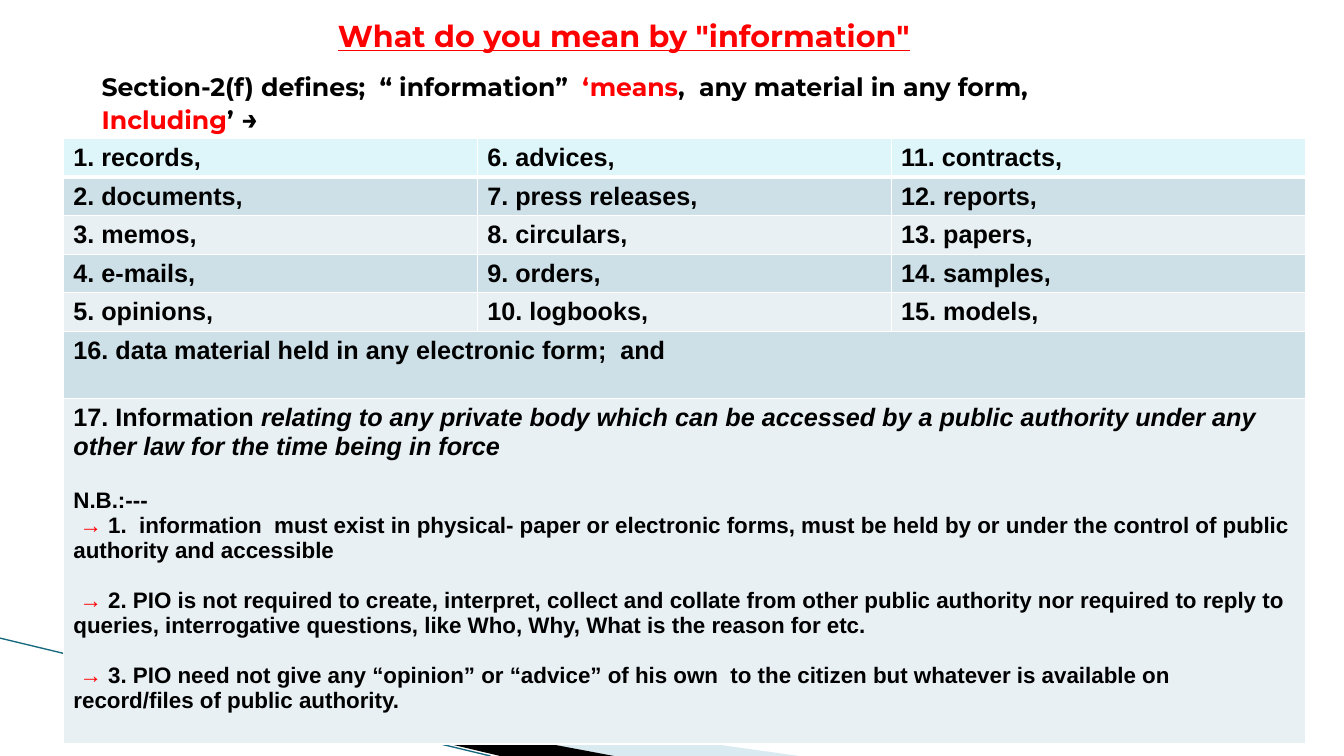
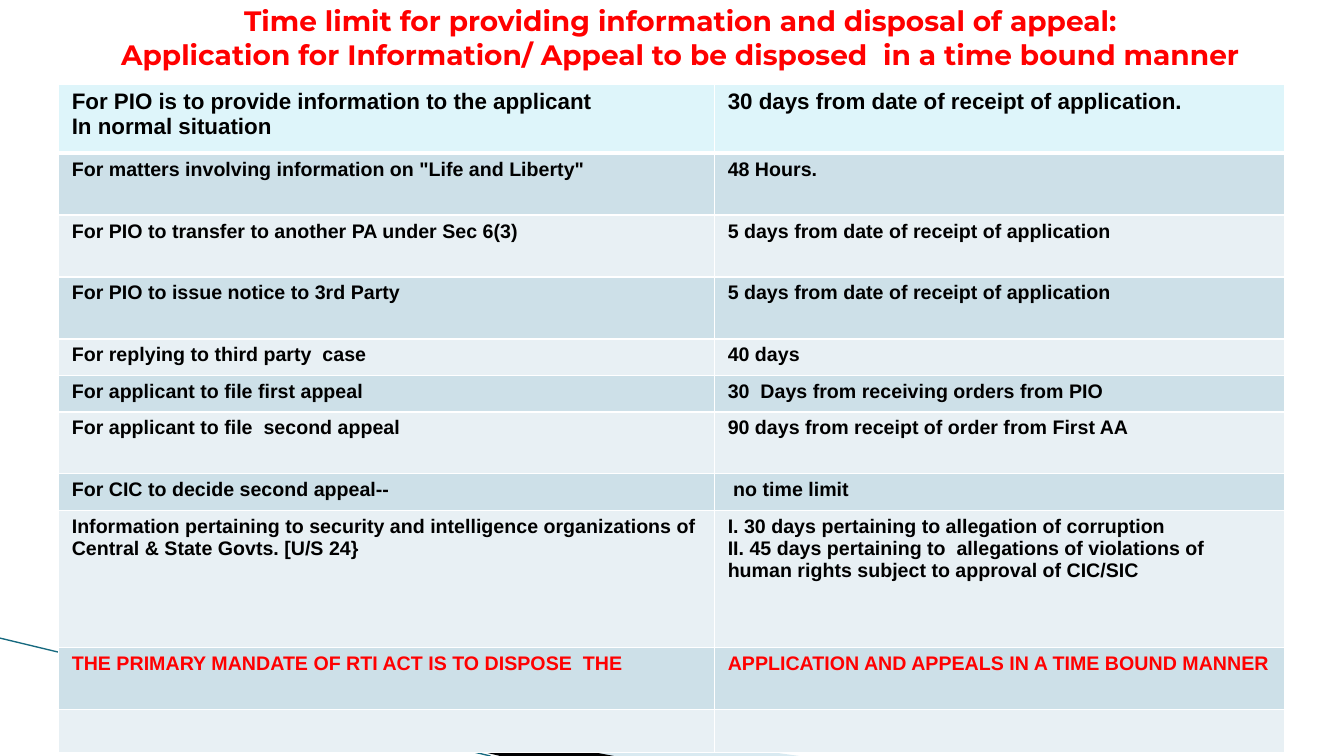
from dataclasses import dataclass, replace

from lxml.etree import SubElement
from pptx import Presentation
from pptx.dml.color import RGBColor as Rgb
from pptx.enum.shapes import MSO_CONNECTOR as Link
from pptx.enum.text import MSO_ANCHOR as Anchor, MSO_AUTO_SIZE as Auto, PP_ALIGN as Align
from pptx.oxml import parse_xml
from pptx.oxml.ns import nsdecls, qn
from pptx.util import Cm, Pt


# Theme: colours, fonts and type sizes
@dataclass(frozen=True)
class Theme:
    ink: str = "000000"
    red: str = "FF0000"
    white: str = "FFFFFF"
    head: str = "DEF5FA"
    dark: str = "CDE0E8"
    pale: str = "E8F0F4"
    wave: str = "A0CBDC"
    edge: str = "16697F"
    show: str = "Montserrat"
    body: str = "Arial"
    big: float = 21.6
    title: float = 20
    text: float = 18
    note: float = 16
    small: float = 14


T = Theme()


# Text pieces: a paragraph is a list of runs with a gap above it
@dataclass(frozen=True)
class Run:
    text: str
    tint: str = T.ink
    size: float = T.text
    font: str = T.body
    slant: bool = False
    line: bool = False


@dataclass(frozen=True)
class Para:
    runs: list
    gap: float = 0


def color(code):
    return Rgb.from_string(code)


class Deck:
    def __init__(self, theme):
        self.theme = theme
        self.prs = Presentation()
        self.prs.slide_width, self.prs.slide_height = Cm(33.87), Cm(19.05)
        self.slide = None

    def start(self):
        self.slide = self.prs.slides.add_slide(self.prs.slide_layouts[5])
        self.swoosh()

    # Decoration in the lower left corner
    def swoosh(self):
        t = self.theme
        self.shard([(1.85, 16.51), (20.14, 19.05), (15.44, 19.05)], t.wave, 40)
        self.shard([(1.8, 16.48), (15.47, 19.05), (12.6, 19.05)], t.ink)
        self.rule((0, 16.08), (12.36, 19.05), t.edge)

    def shard(self, spots, tint, alpha=100):
        first, *rest = [(Cm(x), Cm(y)) for x, y in spots]
        pen = self.slide.shapes.build_freeform(*first)
        pen.add_line_segments(rest)
        shape = pen.convert_to_shape()
        shape.shadow.inherit = False
        shape.line.fill.background()
        shape.fill.solid()
        shape.fill.fore_color.rgb = color(tint)
        if alpha < 100:
            clr = next(shape.element.spPr.iter(qn("a:srgbClr")))
            SubElement(clr, qn("a:alpha")).set("val", str(alpha * 1000))

    def rule(self, start, end, tint):
        line = self.slide.shapes.add_connector(
            Link.STRAIGHT, *(Cm(v) for v in start + end))
        line.line.color.rgb = color(tint)
        line.line.width = Pt(0.95)
        SubElement(line.element.spPr, qn("a:effectLst"))

    # Text
    def fill(self, frame, paras, align=Align.LEFT):
        for i, para in enumerate(paras):
            p = frame.add_paragraph() if i else frame.paragraphs[0]
            p.alignment = align
            p.space_before = Pt(para.gap)
            for piece in para.runs:
                run = p.add_run()
                run.text = piece.text
                font = run.font
                font.name, font.size, font.bold = piece.font, Pt(piece.size), True
                font.italic, font.underline = piece.slant, piece.line
                font.color.rgb = color(piece.tint)

    def place(self, shape, box, anchor, side):
        shape.left, shape.top, shape.width, shape.height = (Cm(v) for v in box)
        frame = shape.text_frame
        frame.word_wrap = True
        frame.auto_size = Auto.NONE
        frame.vertical_anchor = anchor
        frame.margin_left = frame.margin_right = Cm(side)
        frame.margin_top = frame.margin_bottom = 0
        return frame

    def title(self, lines, box, size, line=False):
        t = self.theme
        frame = self.place(self.slide.shapes.title, box, Anchor.MIDDLE, 0)
        paras = [Para([Run(s, t.red, size, t.show, line=line)]) for s in lines]
        self.fill(frame, paras, Align.CENTER)

    def label(self, runs, box):
        shape = self.slide.shapes.add_textbox(*(Cm(v) for v in box))
        frame = self.place(shape, box, Anchor.TOP, 0.25)
        self.fill(frame, [Para([replace(r, font=self.theme.show) for r in runs])])

    # Table: a short row spans the full width
    def table(self, rows, spot, cols, highs, side):
        t = self.theme
        grid = self.slide.shapes.add_table(
            len(rows), len(cols), *(Cm(v) for v in (*spot, sum(cols), sum(highs)))).table
        for col, wide in zip(grid.columns, cols):
            col.width = Cm(wide)
        for i, (cells, high) in enumerate(zip(rows, highs)):
            grid.rows[i].height = Cm(high)
            tint = (t.dark if i % 2 else t.pale) if i else t.head
            for j in range(len(cols)):
                self.cell(grid.cell(i, j), tint, side, i)
            if len(cells) < len(cols):
                grid.cell(i, 0).merge(grid.cell(i, len(cols) - 1))
            for j, paras in enumerate(cells):
                self.fill(grid.cell(i, j).text_frame, paras)

    def cell(self, cell, tint, side, row):
        cell.margin_left = cell.margin_right = Cm(side)
        cell.margin_top = cell.margin_bottom = Cm(0.13)
        cell.fill.solid()
        cell.fill.fore_color.rgb = color(tint)
        props = cell._tc.get_or_add_tcPr()
        thick = {"T": row == 1, "B": row == 0}
        for k, name in enumerate("LRTB"):
            wide = Pt(3 if thick.get(name) else 1)
            props.insert(k, parse_xml(
                f'<a:ln{name} {nsdecls("a")} w="{wide}"><a:solidFill>'
                f'<a:srgbClr val="{self.theme.white}"/></a:solidFill></a:ln{name}>'))


def plain(text, **look):
    return [Para([Run(s, **look)]) for s in text.split("\n")]


def meaning(deck):
    deck.start()
    deck.title(['What do you mean by "information"'],
               (3.78, 0.33, 23.88, 1.12), T.big, line=True)
    deck.label([
        Run("Section-2(f) defines;  “ information” "),
        Run(" ‘means", T.red),
        Run(",  any material in any form, "),
        Run("Including", T.red),
        Run("’"),
        Run(" →", size=T.title),
    ], (2.31, 1.8, 26.85, 1.65))

    # Fifteen kinds, numbered down three columns
    kinds = ["records", "documents", "memos", "e-mails", "opinions",
             "advices", "press releases", "circulars", "orders", "logbooks",
             "contracts", "reports", "papers", "samples", "models"]
    named = [plain(f"{n}. {kind},") for n, kind in enumerate(kinds, 1)]
    rows = [named[i::5] for i in range(5)]
    rows.append([plain("16. data material held in any electronic form;  and")])

    # Last item and its notes
    notes = [
        "1.  information  must exist in physical- paper or electronic forms, must be held "
        "by or under the control of public authority and accessible",
        "2. PIO is not required to create, interpret, collect and collate from other public "
        "authority nor required to reply to queries, interrogative questions, like Who, Why, "
        "What is the reason for etc.",
        "3. PIO need not give any “opinion” or “advice” of his own  to the citizen but "
        "whatever is available on record/files of public authority.",
    ]
    last = [
        Para([Run("17. Information "),
              Run("relating to any private body which can be accessed by a public "
                  "authority under any other law for the time being in force", slant=True)]),
        Para([Run("N.B.:---", size=T.note)], 20),
    ]
    last += [Para([Run(" → ", T.red, T.note), Run(note, size=T.note)], 18 if i else 0)
             for i, note in enumerate(notes)]
    rows.append([last])
    deck.table(rows, (1.6, 3.49), [10.43] * 3, [0.97] * 5 + [1.7, 8.7], 0.25)


def limits(deck):
    deck.start()
    deck.title(["Time limit for providing information and disposal of appeal:",
                "Application for Information/ Appeal to be disposed  in a time bound manner"],
               (0.6, 0, 33.1, 1.88), T.title)
    terms = [
        ("For PIO is to provide information to the applicant\nIn normal situation",
         "30 days from date of receipt of application."),
        ('For matters involving information on "Life and Liberty"', "48 Hours."),
        ("For PIO to transfer to another PA under Sec 6(3)",
         "5 days from date of receipt of application"),
        ("For PIO to issue notice to 3rd Party",
         "5 days from date of receipt of application"),
        ("For replying to third party  case", "40 days"),
        ("For applicant to file first appeal", "30  Days from receiving orders from PIO"),
        ("For applicant to file  second appeal",
         "90 days from receipt of order from First AA"),
        ("For CIC to decide second appeal--", " no time limit"),
        ("Information pertaining to security and intelligence organizations of "
         "Central & State Govts. [U/S 24}",
         "I. 30 days pertaining to allegation of corruption\n"
         "II. 45 days pertaining to  allegations of violations of human rights "
         "subject to approval of CIC/SIC"),
        ("THE PRIMARY MANDATE OF RTI ACT IS TO DISPOSE  THE",
         "APPLICATION AND APPEALS IN A TIME BOUND MANNER"),
    ]
    end = len(terms) - 1
    rows = [[plain(text, size=T.small if i else T.note, tint=T.red if i == end else T.ink)
             for text in pair] for i, pair in enumerate(terms)]
    rows.append([[], []])
    tall, low = 1.56, 0.92
    highs = [1.73, tall, tall, tall, low, low, tall, low, 3.45, tall, 1.1]
    deck.table(rows, (1.48, 2.13), [16.53, 14.36], highs, 0.33)


def main():
    deck = Deck(T)
    meaning(deck)
    limits(deck)
    deck.prs.save("out.pptx")


if __name__ == "__main__":
    main()
